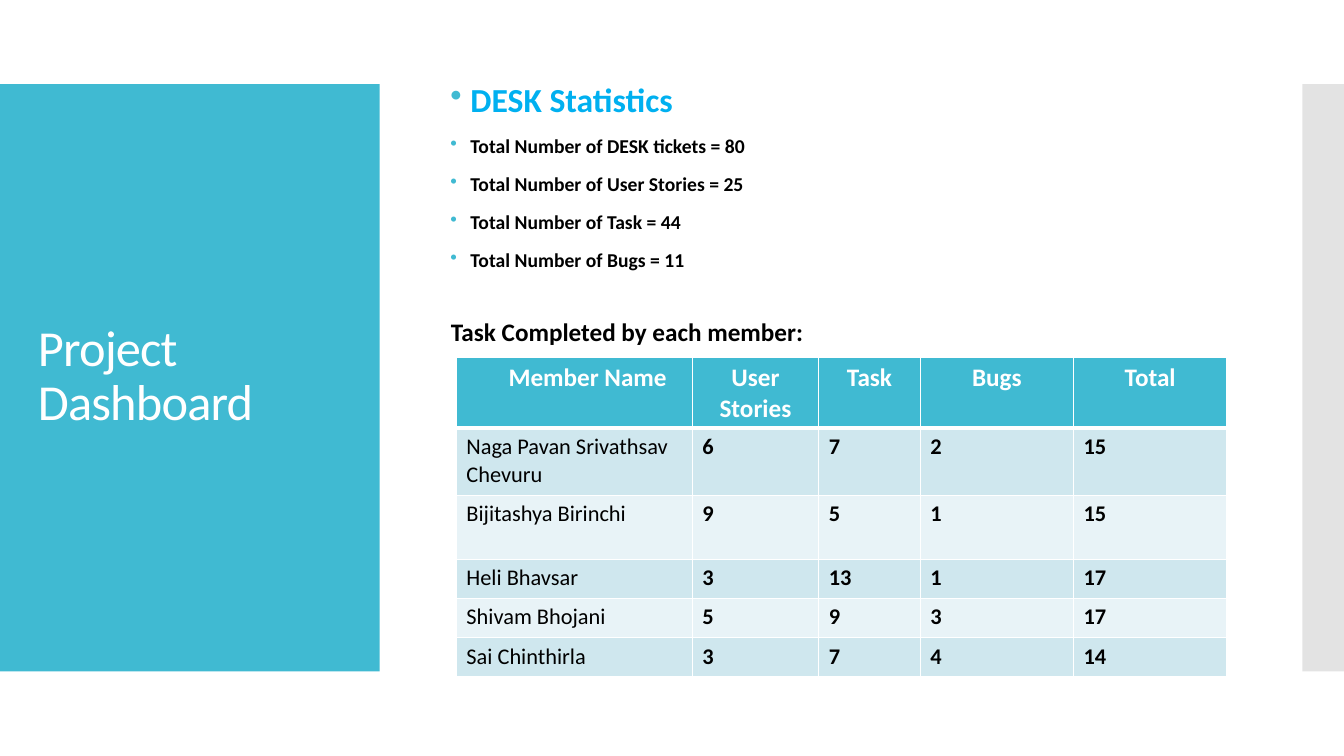
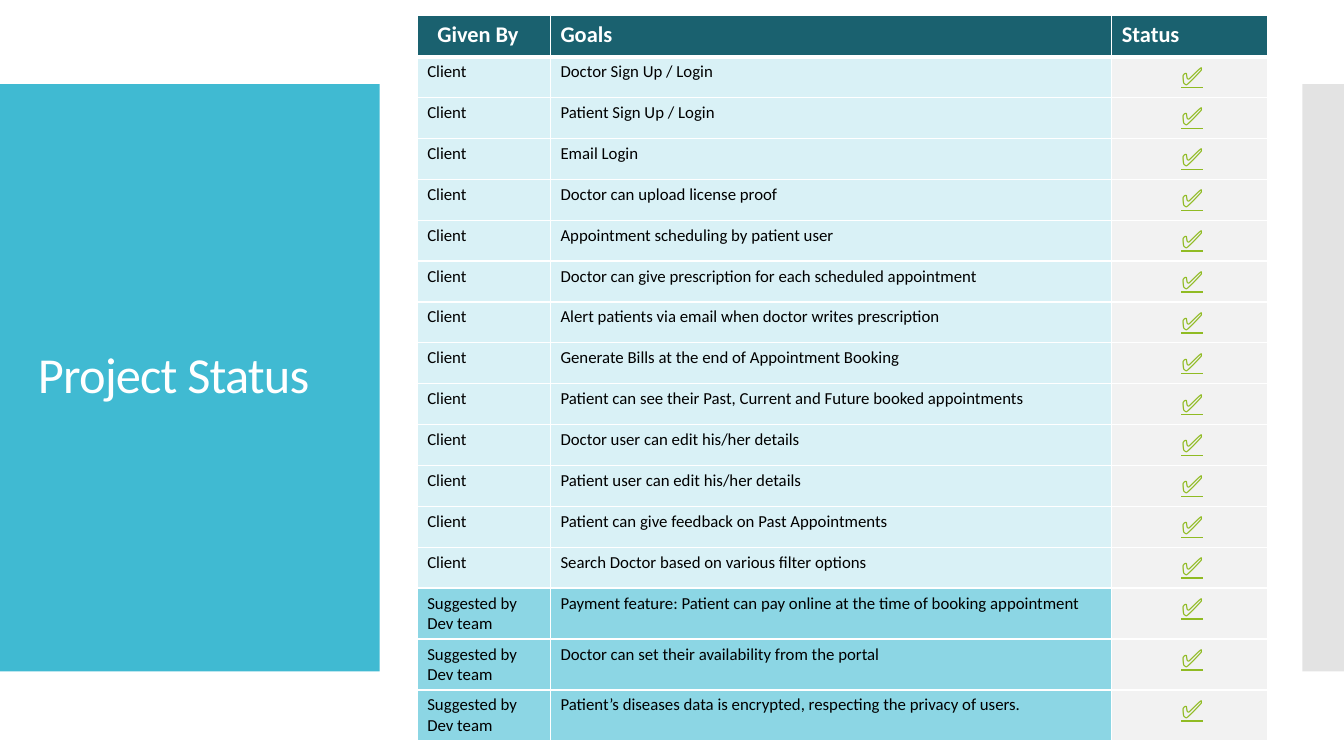
from lxml.etree import SubElement
from pptx import Presentation
from pptx.dml.color import RGBColor
from pptx.enum.shapes import MSO_SHAPE
from pptx.enum.text import MSO_ANCHOR, PP_ALIGN
from pptx.oxml.ns import qn
from pptx.util import Pt

TEAL, DARK_TEAL, GREY = "40BAD2", "1A616F", "C8C8C8"
WHITE, BLACK, SKY, GREEN = "FFFFFF", "000000", "00B0F0", "90BB23"
CELL_MARGIN = 7.2


def add_text(paragraph, text, size, color=BLACK, bold=False, font="Calibri"):
    run = paragraph.add_run()
    run.text = text
    run.font.name, run.font.size, run.font.bold = font, Pt(size), bold
    run.font.color.rgb = RGBColor.from_string(color)
    return run


def add_grid(slide, left, top, widths, heights, fills):
    """Table with white rules and one fill colour per cell."""
    table = slide.shapes.add_table(len(heights), len(widths), Pt(left), Pt(top),
                                   Pt(sum(widths)), Pt(sum(heights))).table
    for column, width in zip(table.columns, widths):
        column.width = Pt(width)
    for r, (row, height) in enumerate(zip(table.rows, heights)):
        row.height = Pt(height)
        for cell, fill in zip(row.cells, fills[r]):
            properties = cell._tc.get_or_add_tcPr()
            for side in ("lnL", "lnR", "lnT", "lnB"):
                header_rule = (r == 0 and side == "lnB") or (r == 1 and side == "lnT")
                line = SubElement(properties, qn(f"a:{side}"),
                                  w=str(Pt(3 if header_rule else 1)))
                solid = SubElement(line, qn("a:solidFill"))
                SubElement(solid, qn("a:srgbClr"), val=WHITE)
            cell.fill.solid()
            cell.fill.fore_color.rgb = RGBColor.from_string(fill)
    return table


deck = Presentation()
deck.slide_width, deck.slide_height = Pt(960), Pt(540)

# Shared side bands and titles
for title in ("Project Dashboard", "Project Status"):
    slide = deck.slides.add_slide(deck.slide_layouts[6])
    for left, width, color in ((0, 271.2, TEAL), (930.4, 29.6, GREY)):
        band = slide.shapes.add_shape(MSO_SHAPE.RECTANGLE, Pt(left), Pt(60),
                                      Pt(width), Pt(419.5))
        band.shadow.inherit = False
        band.line.fill.background()
        band.fill.solid()
        band.fill.fore_color.rgb = RGBColor.from_string(color)
        if color == GREY:
            grey = band._element.spPr.find(qn("a:solidFill"))[0]
            SubElement(grey, qn("a:alpha"), val="50000")
    heading = slide.shapes.add_textbox(Pt(20), Pt(88.5), Pt(232), Pt(362)).text_frame
    heading.word_wrap = True
    heading.vertical_anchor = MSO_ANCHOR.MIDDLE
    heading.paragraphs[0].line_spacing = 0.9
    run = add_text(heading.paragraphs[0], title, 36, WHITE)
    run._r.get_or_add_rPr().set("spc", "-60")

dashboard, status = deck.slides

# Dashboard: ticket statistics
statistics = dashboard.shapes.add_textbox(Pt(314.6), Pt(42.5), Pt(523), Pt(169)).text_frame
statistics.word_wrap = True
statistics.vertical_anchor = MSO_ANCHOR.MIDDLE
statistic_lines = [
    ("DESK Statistics", 24, SKY),
    ("Total Number of DESK tickets = 80", 14, BLACK),
    ("Total Number of User Stories = 25", 14, BLACK),
    ("Total Number of Task = 44", 14, BLACK),
    ("Total Number of Bugs = 11", 14, BLACK),
]
for i, (text, size, color) in enumerate(statistic_lines):
    paragraph = statistics.add_paragraph() if i else statistics.paragraphs[0]
    paragraph.line_spacing = 0.9
    paragraph.space_before = Pt(12)
    properties = paragraph._p.get_or_add_pPr()
    properties.set("marL", str(Pt(14.4)))
    properties.set("indent", str(-Pt(14.4)))
    bullet_color = SubElement(properties, qn("a:buClr"))
    SubElement(bullet_color, qn("a:srgbClr"), val=TEAL)
    SubElement(properties, qn("a:buChar"), char="•")
    add_text(paragraph, text, size, color, bold=True)

# Dashboard: work per member
caption = dashboard.shapes.add_textbox(Pt(315), Pt(222.5), Pt(333), Pt(30)).text_frame
caption.word_wrap = True
add_text(caption.paragraphs[0], "Task Completed by each member:", 18, bold=True)

member_rows = [
    ("Member Name", "User Stories", "Task", "Bugs", "Total"),
    ("Naga Pavan Srivathsav Chevuru", 6, 7, 2, 15),
    ("Bijitashya Birinchi", 9, 5, 1, 15),
    ("Heli Bhavsar", 3, 13, 1, 17),
    ("Shivam Bhojani", 5, 9, 3, 17),
    ("Sai Chinthirla", 3, 7, 4, 14),
]
member_fills = [[TEAL] * 5] + [[("E8F3F7", "CFE7EE")[r % 2]] * 5 for r in range(1, 6)]
members = add_grid(dashboard, 326, 255.5, [168.5, 90.3, 72.6, 109.5, 109.5],
                   [50, 48, 45.7, 28, 28, 28], member_fills)
for r, values in enumerate(member_rows):
    for c, value in enumerate(values):
        paragraph = members.cell(r, c).text_frame.paragraphs[0]
        if r == 0:
            paragraph.alignment = PP_ALIGN.CENTER
            add_text(paragraph, value, 18, WHITE, bold=True)
        else:
            add_text(paragraph, str(value), 16, bold=c > 0)
members.cell(0, 0).margin_left = Pt(CELL_MARGIN + 19)

# Status: goals and who gave them
client_goals = [
    "Doctor Sign Up / Login",
    "Patient Sign Up / Login",
    "Email Login",
    "Doctor can upload license proof",
    "Appointment scheduling by patient user",
    "Doctor can give prescription for each scheduled appointment",
    "Alert patients via email when doctor writes prescription",
    "Generate Bills at the end of Appointment Booking",
    "Patient can see their Past, Current and Future booked appointments",
    "Doctor user can edit his/her details",
    "Patient user can edit his/her details",
    "Patient can give feedback on Past Appointments",
    "Search Doctor based on various filter options",
]
team_goals = [
    "Payment feature: Patient can pay online at the time of booking appointment",
    "Doctor can set their availability from the portal",
    "Patient’s diseases data is encrypted, respecting the privacy of users.",
]
goal_rows = [("Client", goal) for goal in client_goals]
goal_rows += [("Suggested by Dev team", goal) for goal in team_goals]
goal_fills = [[DARK_TEAL] * 3]
goal_fills += [["D9F1F6", "D9F1F6", "F2F2F2"]] * len(client_goals)
goal_fills += [["8CD6E4", "8CD6E4", "F2F2F2"]] * len(team_goals)
goal_heights = [29.2] * (1 + len(client_goals)) + [36.4] * len(team_goals)
goals = add_grid(status, 298, 11.3, [95.2, 401, 111], goal_heights, goal_fills)

for c, label in enumerate(("Given By", "Goals", "Status")):
    add_text(goals.cell(0, c).text_frame.paragraphs[0], label, 16, WHITE, bold=True)
goals.cell(0, 0).margin_left = Pt(CELL_MARGIN + 7.2)

for r, texts in enumerate(goal_rows, start=1):
    for c, text in enumerate(texts):
        add_text(goals.cell(r, c).text_frame.paragraphs[0], text, 12)
    done = goals.cell(r, 2)
    done.margin_left = Pt(CELL_MARGIN + 4)
    done.text_frame.paragraphs[0].alignment = PP_ALIGN.CENTER
    check = add_text(done.text_frame.paragraphs[0], "✅", 18, GREEN, font="Roboto")
    check.font.underline = True

deck.save("out.pptx")
